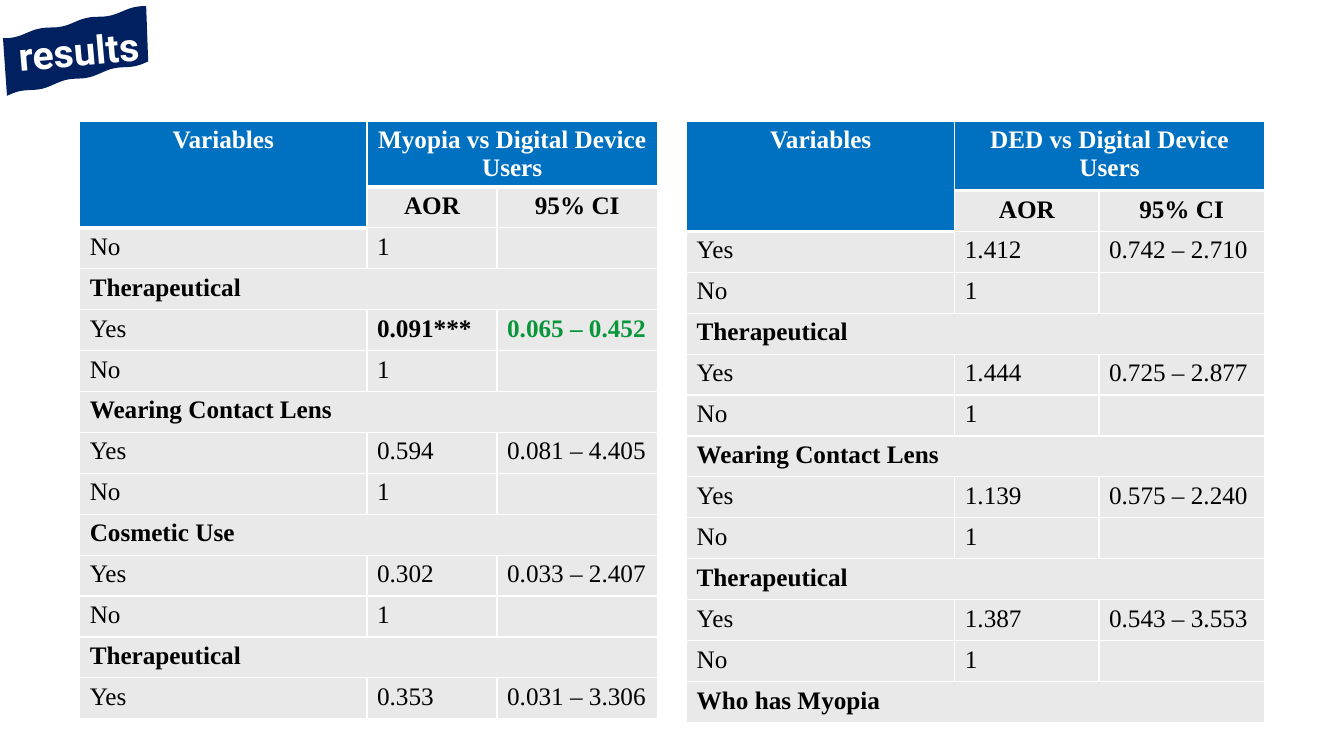
import dataclasses
import math

import lxml.etree
import pptx
import pptx.dml.color
import pptx.enum.text
import pptx.oxml.ns
import pptx.slide
import pptx.table
import pptx.util

COLORS = {
    "navy": "002060",
    "blue": "0070C0",
    "gray": "E9E9E9",
    "white": "FFFFFF",
    "black": "000000",
    "green": "09963B",
}
TABLE_TOP = 1.2
HEADER_ROWS = 2
ROW_HEIGHT = 5.28 / 13
BORDER_POINTS = 1
HEADER_BORDER_POINTS = 3
FLAG_STEPS = 48


@dataclasses.dataclass(frozen=True)
class ResultsTable:
    left: float
    column_widths: tuple[float, ...]
    header_height: float
    heading: str
    rows: tuple[tuple[str, ...], ...]


@dataclasses.dataclass(frozen=True)
class CellStyle:
    fill: str = "gray"
    color: str = "black"
    bold: bool = False
    centered: bool = False
    bottom_points: int = BORDER_POINTS


HEADING = CellStyle("blue", "white", True, True, HEADER_BORDER_POINTS)
SUBHEADING = CellStyle(bold=True, centered=True)
PLAIN = CellStyle()
STRONG = CellStyle(bold=True)
SIGNIFICANT = CellStyle(color="green", bold=True)

NO_ROW = ("No", "1", "")
RESULTS_TABLES = (
    ResultsTable(0.79, (2.85, 1.29, 1.59), 0.65, "Myopia vs Digital Device Users", (
        NO_ROW,
        ("Therapeutical",),
        ("Yes", "0.091***", "0.065 – 0.452"),
        NO_ROW,
        ("Wearing Contact Lens",),
        ("Yes", "0.594", "0.081 – 4.405"),
        NO_ROW,
        ("Cosmetic Use",),
        ("Yes", "0.302", "0.033 – 2.407"),
        NO_ROW,
        ("Therapeutical",),
        ("Yes", "0.353", "0.031 – 3.306"),
    )),
    ResultsTable(6.81, (2.66, 1.43, 1.64), 0.69, "DED vs Digital Device Users", (
        ("Yes", "1.412", "0.742 – 2.710"),
        NO_ROW,
        ("Therapeutical",),
        ("Yes", "1.444", "0.725 – 2.877"),
        NO_ROW,
        ("Wearing Contact Lens",),
        ("Yes", "1.139", "0.575 – 2.240"),
        NO_ROW,
        ("Therapeutical",),
        ("Yes", "1.387", "0.543 – 3.553"),
        NO_ROW,
        ("Who has Myopia",),
    )),
)


def rgb(name: str) -> pptx.dml.color.RGBColor:
    return pptx.dml.color.RGBColor.from_string(COLORS[name])


def set_borders(cell: pptx.table._Cell, bottom_points: int) -> None:
    properties = cell._tc.get_or_add_tcPr()
    for side in "LRTB":
        points = bottom_points if side == "B" else BORDER_POINTS
        line = lxml.etree.SubElement(
            properties, pptx.oxml.ns.qn(f"a:ln{side}"), w=str(pptx.util.Pt(points))
        )
        fill = lxml.etree.SubElement(line, pptx.oxml.ns.qn("a:solidFill"))
        lxml.etree.SubElement(fill, pptx.oxml.ns.qn("a:srgbClr"), val=COLORS["white"])


def write_cell(cell: pptx.table._Cell, text: str, style: CellStyle) -> None:
    set_borders(cell, style.bottom_points)
    cell.fill.solid()
    cell.fill.fore_color.rgb = rgb(style.fill)
    cell.text = text
    paragraph = cell.text_frame.paragraphs[0]
    if style.centered:
        paragraph.alignment = pptx.enum.text.PP_ALIGN.CENTER
    paragraph.font.name = "Times New Roman"
    paragraph.font.size = pptx.util.Pt(18)
    paragraph.font.bold = style.bold
    paragraph.font.color.rgb = rgb(style.color)


def body_styles(row: tuple[str, ...]) -> tuple[CellStyle, ...]:
    if len(row) == 1:
        return (STRONG,) * 3
    if row[1].endswith("***"):
        return (PLAIN, STRONG, SIGNIFICANT)
    return (PLAIN,) * 3


def add_results_table(slide: pptx.slide.Slide, results: ResultsTable) -> None:
    row_count = HEADER_ROWS + len(results.rows)
    height = results.header_height + ROW_HEIGHT * (row_count - 1)
    table = slide.shapes.add_table(
        row_count,
        len(results.column_widths),
        pptx.util.Inches(results.left),
        pptx.util.Inches(TABLE_TOP),
        pptx.util.Inches(sum(results.column_widths)),
        pptx.util.Inches(height),
    ).table
    table.horz_banding = False
    for column, width in zip(table.columns, results.column_widths):
        column.width = pptx.util.Inches(width)
    for table_row in table.rows:
        table_row.height = pptx.util.Inches(ROW_HEIGHT)
    table.rows[0].height = pptx.util.Inches(results.header_height)

    contents = (("Variables", results.heading, ""), ("", "AOR", "95% CI"), *results.rows)
    styles = (
        (HEADING,) * 3,
        (HEADING, SUBHEADING, SUBHEADING),
        *(body_styles(row) for row in results.rows),
    )
    for row_index, (texts, row_styles) in enumerate(zip(contents, styles)):
        for column_index, style in enumerate(row_styles):
            text = texts[column_index] if column_index < len(texts) else ""
            write_cell(table.cell(row_index, column_index), text, style)
        if len(texts) == 1:
            table.cell(row_index, 0).merge(table.cell(row_index, 2))
    table.cell(0, 0).merge(table.cell(1, 0))
    table.cell(0, 1).merge(table.cell(0, 2))


def flag_edge(left: float, top: float, right: float, bottom: float) -> list[tuple[int, int]]:
    points = []
    for step in range(FLAG_STEPS + 1):
        share = step / FLAG_STEPS
        wave = 0.015 * math.sin(share * 6 * math.pi)
        x = left + share * (right - left)
        y = top + share * (bottom - top) + wave
        points.append((pptx.util.Inches(x), pptx.util.Inches(y)))
    return points


def add_flag(slide: pptx.slide.Slide) -> None:
    outline = flag_edge(0.03, 0.38, 1.45, 0.06) + flag_edge(1.47, 0.61, 0.07, 0.95)
    builder = slide.shapes.build_freeform(*outline[0])
    builder.add_line_segments(outline[1:], close=True)
    flag = builder.convert_to_shape()
    flag.shadow.inherit = False
    flag.fill.solid()
    flag.fill.fore_color.rgb = rgb("navy")
    flag.line.fill.background()
    slide.shapes._spTree.insert(2, flag._element)


def format_title(slide: pptx.slide.Slide) -> None:
    title = slide.shapes.title
    title.left, title.top = pptx.util.Inches(0.03), pptx.util.Inches(0.23)
    title.width, title.height = pptx.util.Inches(1.5), pptx.util.Inches(0.54)
    title.rotation = -5
    frame = title.text_frame
    frame.text = "results"
    frame.word_wrap = False
    frame.auto_size = pptx.enum.text.MSO_AUTO_SIZE.NONE
    frame.vertical_anchor = pptx.enum.text.MSO_ANCHOR.MIDDLE
    paragraph = frame.paragraphs[0]
    paragraph.alignment = pptx.enum.text.PP_ALIGN.CENTER
    paragraph.font.name = "Roboto"
    paragraph.font.size = pptx.util.Pt(28)
    paragraph.font.bold = True
    paragraph.font.color.rgb = rgb("white")


def main() -> None:
    presentation = pptx.Presentation()
    presentation.slide_width = pptx.util.Inches(13.33)
    presentation.slide_height = pptx.util.Inches(7.5)
    slide = presentation.slides.add_slide(presentation.slide_layouts[5])
    format_title(slide)
    add_flag(slide)
    for results in RESULTS_TABLES:
        add_results_table(slide, results)
    presentation.save("out.pptx")


if __name__ == "__main__":
    main()
